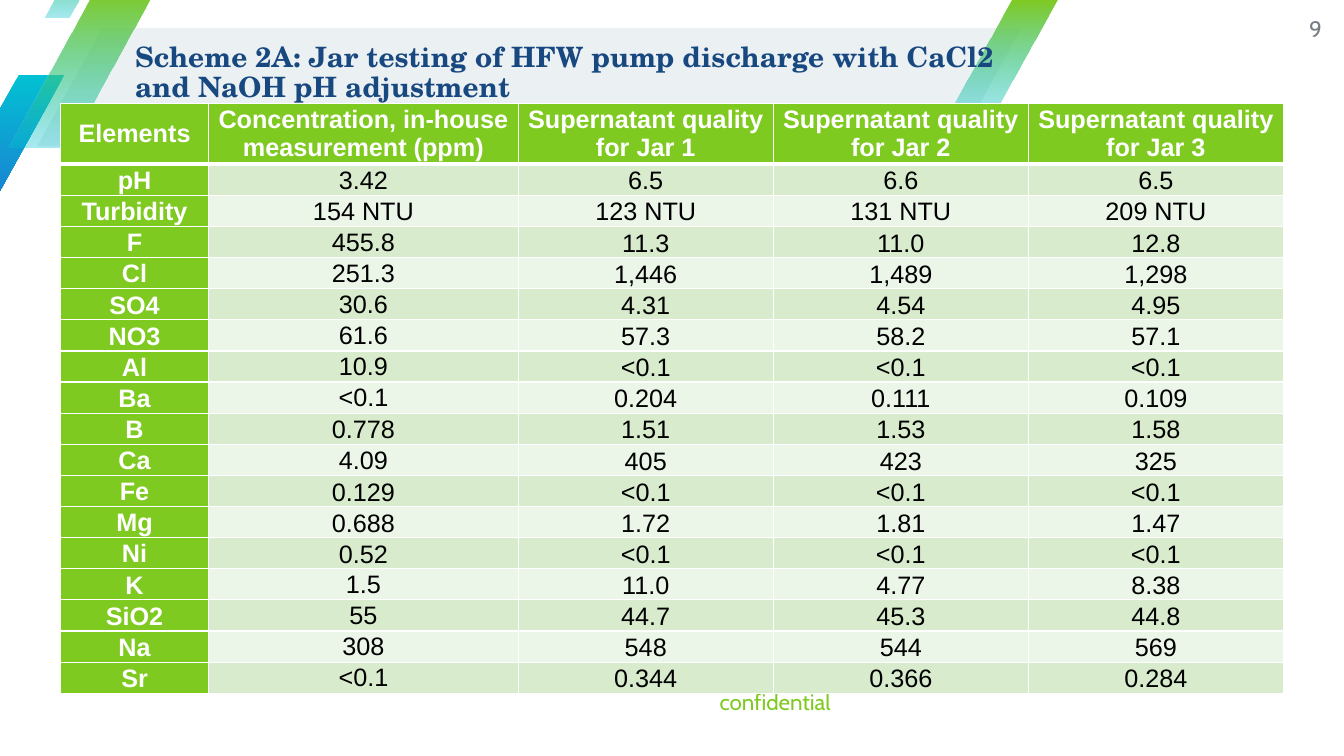
from lxml import etree
from pptx import Presentation
from pptx.dml.color import RGBColor
from pptx.enum.shapes import MSO_SHAPE
from pptx.enum.text import MSO_ANCHOR, MSO_AUTO_SIZE, PP_ALIGN
from pptx.oxml.ns import qn
from pptx.util import Inches, Pt

PARALLELOGRAM = MSO_SHAPE.PARALLELOGRAM
MIDDLE, BOTTOM = MSO_ANCHOR.MIDDLE, MSO_ANCHOR.BOTTOM
LEFT, CENTER, RIGHT = PP_ALIGN.LEFT, PP_ALIGN.CENTER, PP_ALIGN.RIGHT
NO_FIT = MSO_AUTO_SIZE.NONE

GREEN = RGBColor(0x7F, 0xCA, 0x20)
CYAN = RGBColor(0x02, 0xC1, 0xD3)
BLUE = RGBColor(0x19, 0x85, 0xD2)
NAVY = RGBColor(0x18, 0x48, 0x80)
GREY = RGBColor(0x75, 0x7C, 0x83)
PALE = RGBColor(0xEB, 0xF0, 0xF3)
WHITE = RGBColor(0xFF, 0xFF, 0xFF)
BLACK = RGBColor(0, 0, 0)
BANDS = RGBColor(0xD8, 0xEC, 0xCD), RGBColor(0xEC, 0xF6, 0xE8)

TITLE = "Scheme 2A: Jar testing of HFW pump discharge with CaCl2 and NaOH pH adjustment"
HEADER = ["Elements", "Concentration, in-house measurement (ppm)"]
HEADER += [f"Supernatant quality for Jar {n}" for n in (1, 2, 3)]
RESULTS = [
    ("pH", "3.42", "6.5", "6.6", "6.5"),
    ("Turbidity", "154 NTU", "123 NTU", "131 NTU", "209 NTU"),
    ("F", "455.8", "11.3", "11.0", "12.8"),
    ("Cl", "251.3", "1,446", "1,489", "1,298"),
    ("SO4", "30.6", "4.31", "4.54", "4.95"),
    ("NO3", "61.6", "57.3", "58.2", "57.1"),
    ("Al", "10.9", "<0.1", "<0.1", "<0.1"),
    ("Ba", "<0.1", "0.204", "0.111", "0.109"),
    ("B", "0.778", "1.51", "1.53", "1.58"),
    ("Ca", "4.09", "405", "423", "325"),
    ("Fe", "0.129", "<0.1", "<0.1", "<0.1"),
    ("Mg", "0.688", "1.72", "1.81", "1.47"),
    ("Ni", "0.52", "<0.1", "<0.1", "<0.1"),
    ("K", "1.5", "11.0", "4.77", "8.38"),
    ("SiO2", "55", "44.7", "45.3", "44.8"),
    ("Na", "308", "548", "544", "569"),
    ("Sr", "<0.1", "0.344", "0.366", "0.284"),
]
BOTTOM_ROWS = ("Fe", "Mg", "Ni")
COLUMN_WIDTHS = (1.47, 3.07, 2.53, 2.53, 2.53)
HEADER_HEIGHT = 0.6


class SlideBuilder:
    """Draws styled elements on the current slide."""

    title_font = {"name": "TeX Gyre Schola", "size": Pt(20), "bold": True}
    note_font = {"name": "Cabin", "size": Pt(16), "bold": False}
    table_font = {"name": "Arial", "size": Pt(18)}

    def __init__(self, prs):
        self.s = prs.slides.add_slide(prs.slide_layouts[5])

    def add_text(self, tf, text, font, color, align):
        p = tf.paragraphs[0]
        p.alignment = align
        r = p.add_run()
        r.text = text
        for key, value in font.items():
            setattr(r.font, key, value)
        r.font.color.rgb = color
        return p

    def frame(self, tf):
        settings = {"margin_left": 0, "margin_top": 0, "margin_right": 0, "margin_bottom": 0,
                    "word_wrap": True, "auto_size": NO_FIT, "vertical_anchor": MIDDLE}
        for key, value in settings.items():
            setattr(tf, key, value)
        return tf

    def stripe(self, box, adjustment, colors, alpha=None):
        sp = self.s.shapes.add_shape(PARALLELOGRAM, *map(Inches, box))
        sp.shadow.inherit = False
        sp.adjustments[0] = adjustment
        sp.line.fill.background()
        if len(colors) == 1:
            sp.fill.solid()
            sp.fill.fore_color.rgb = colors[0]
            return
        sp.fill.gradient()
        sp.fill.gradient_angle = 270
        for stop, color in zip(sp.fill.gradient_stops, colors):
            stop.color.rgb = color
        if alpha:
            last = sp.element.spPr.findall(".//" + qn("a:srgbClr"))[-1]
            etree.SubElement(last, qn("a:alpha"), val=str(alpha * 1000))

    def note(self, box, text, color):
        sp = self.s.shapes.add_textbox(*map(Inches, box))
        self.add_text(self.frame(sp.text_frame), text, self.note_font, color, RIGHT)

    def title(self, box, text):
        sp = self.s.shapes.title
        sp.left, sp.top, sp.width, sp.height = map(Inches, box)
        p = self.add_text(self.frame(sp.text_frame), text, self.title_font, NAVY, LEFT)
        p.line_spacing = 0.9
        self.s.shapes.element.append(sp.element)

    def borders(self, cell, bottom):
        tcPr = cell._tc.get_or_add_tcPr()
        for i, (side, width) in enumerate({"L": 1, "R": 1, "T": 1, "B": bottom}.items()):
            ln = etree.Element(qn(f"a:ln{side}"), w=str(Pt(width)))
            fill = etree.SubElement(ln, qn("a:solidFill"))
            etree.SubElement(fill, qn("a:srgbClr"), val=str(WHITE))
            tcPr.insert(i, ln)

    def cell(self, cell, text, fill, color, anchor, margins, bottom=1):
        cell.fill.solid()
        cell.fill.fore_color.rgb = fill
        cell.vertical_anchor = anchor
        for side, margin in zip(("left", "top", "right", "bottom"), margins):
            setattr(cell, f"margin_{side}", Inches(margin))
        self.borders(cell, bottom)
        font = {**self.table_font, "bold": color == WHITE}
        return self.add_text(cell.text_frame, text, font, color, CENTER)

    def table(self, box, header, rows):
        shape = self.s.shapes.add_table(len(rows) + 1, len(header), *map(Inches, box))
        table = shape.table
        for column, width in zip(table.columns, COLUMN_WIDTHS):
            column.width = Inches(width)
        for row in table.rows:
            row.height = Inches((box[3] - HEADER_HEIGHT) / len(rows))
        table.rows[0].height = Inches(HEADER_HEIGHT)
        label_style = GREEN, WHITE, MIDDLE, (0.03, 0, 0.03, 0)
        for j, text in enumerate(header):
            self.cell(table.cell(0, j), text, *label_style, bottom=3)
        for i, (label, *values) in enumerate(rows, 1):
            p = self.cell(table.cell(i, 0), label, *label_style)
            p.line_spacing, p.space_after = 1.07, Pt(8)
            for j, text in enumerate(values, 1):
                centred = i <= 2 or (j == 1 and label not in BOTTOM_ROWS)
                place = (MIDDLE, (0.01, 0.01, 0.01, 0)) if centred else (BOTTOM, (0, 0, 0, 0))
                self.cell(table.cell(i, j), text, BANDS[(i - 1) % 2], BLACK, *place)


def main():
    prs = Presentation()
    prs.slide_width, prs.slide_height = Inches(13.33), Inches(7.5)
    slide = SlideBuilder(prs)
    slide.stripe((0.37, 0.28, 9.76, 1.17), 0.55, [PALE])
    slide.stripe((-0.46, 0.74, 1.1, 1.17), 0.59, [CYAN, BLUE])
    for box in ((9.39, 0, 1.1, 1.17), (0.08, -0.1, 1.46, 1.56), (0.44, -0.48, 0.61, 0.65)):
        slide.stripe(box, 0.59, [GREEN, CYAN], alpha=34)
    slide.note((4.67, 6.67, 3.57, 0.57), "confidential", GREEN)
    slide.note((12.48, 0, 0.63, 0.57), "9", GREY)
    slide.table((0.6, 1.03, 12.13, 5.85), HEADER, RESULTS)
    slide.title((1.34, 0.13, 8.79, 1.19), TITLE)
    prs.save("out.pptx")


if __name__ == "__main__":
    main()
